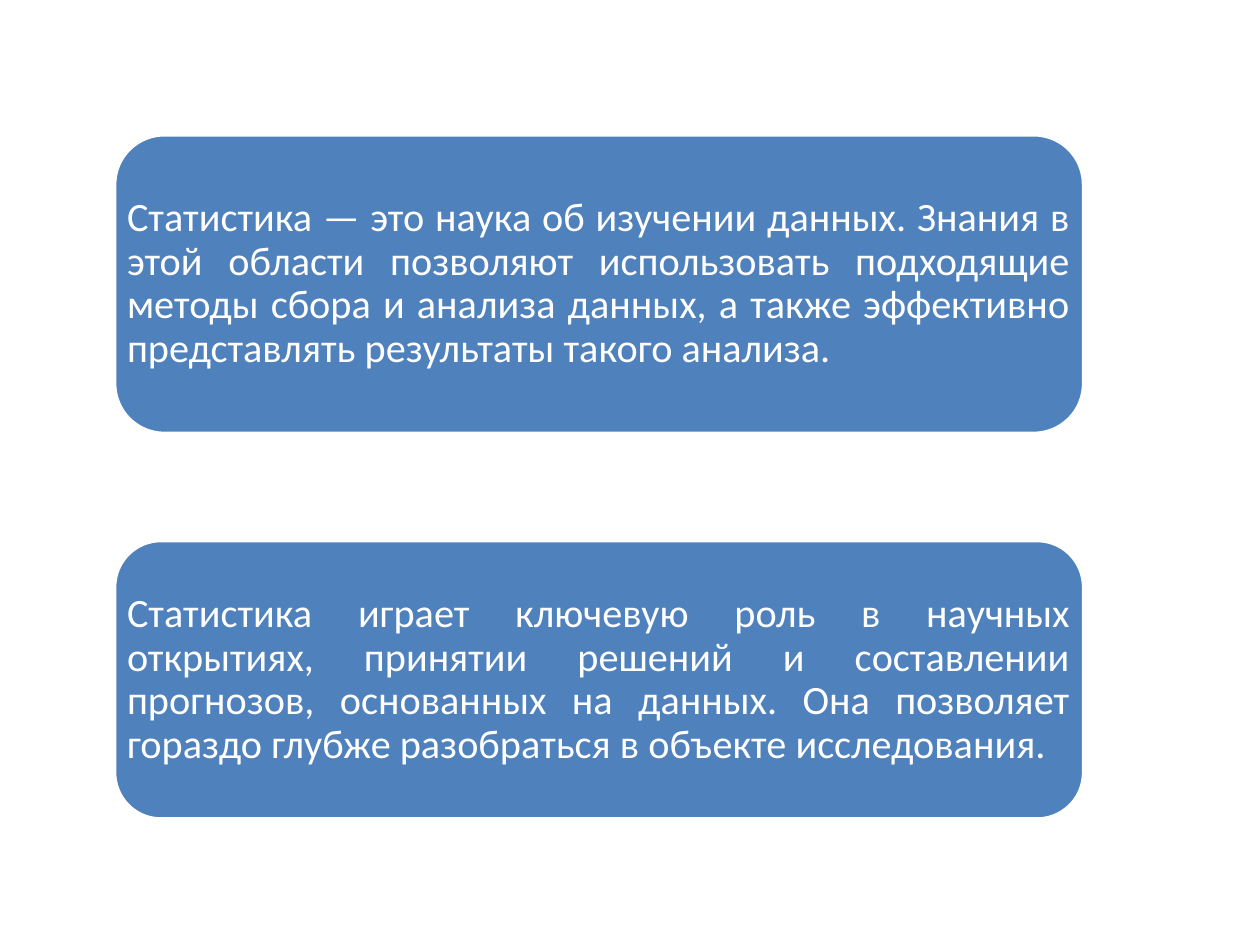
from pptx import Presentation
from pptx import util as u
from pptx.dml.color import RGBColor
from pptx.enum import shapes, text

COLORS = {"panel": "4F81BD", "white": "FFFFFF"}
LEFT, WIDTH = 0.91, 7.69
STATEMENTS = [
    (1.07, 2.37, "Статистика — это наука об изучении данных. Знания в этой области "
     "позволяют использовать подходящие методы сбора и анализа данных, а также "
     "эффективно представлять результаты такого анализа."),
    (4.29, 2.21, "Статистика играет ключевую роль в научных открытиях, принятии решений "
     "и составлении прогнозов, основанных на данных. Она позволяет гораздо глубже "
     "разобраться в объекте исследования."),
]
FRAME_FORMAT = {
    "word_wrap": True,
    "auto_size": text.MSO_AUTO_SIZE.NONE,
    "vertical_anchor": text.MSO_ANCHOR.MIDDLE,
    **{f"margin_{side}": u.Inches(0.1) for side in ("left", "top", "right", "bottom")},
}
PARA_FORMAT = {"alignment": text.PP_ALIGN.JUSTIFY, "line_spacing": 0.9}
FONT_FORMAT = {"name": "Calibri", "size": u.Pt(23)}


def color(name):
    """Return a named colour."""
    return RGBColor.from_string(COLORS[name])


def apply_format(target, values):
    """Set every attribute in values on target."""
    for name, value in values.items():
        setattr(target, name, value)


def add_statement(page, left, top, width, height, wording):
    """Draw a rounded panel with justified text in the given box."""
    box = [u.Inches(length) for length in (left, top, width, height)]
    group = page.shapes.add_group_shape()
    panel = group.shapes.add_shape(shapes.MSO_SHAPE.ROUNDED_RECTANGLE, *box)
    panel.shadow.inherit = False
    panel.fill.solid()
    panel.fill.fore_color.rgb = color("panel")
    panel.line.color.rgb = color("white")
    panel.line.width = u.Pt(2)

    frame = group.shapes.add_textbox(*box).text_frame
    apply_format(frame, FRAME_FORMAT)
    para = frame.paragraphs[0]
    apply_format(para, PARA_FORMAT)
    span = para.add_run()
    span.text = wording
    apply_format(span.font, FONT_FORMAT)
    span.font.color.rgb = color("white")


def main():
    """Build and save the deck."""
    deck = Presentation()
    deck.slide_width, deck.slide_height = u.Inches(10), u.Inches(7.5)
    page = deck.slides.add_slide(deck.slide_layouts[6])
    for top, height, wording in STATEMENTS:
        add_statement(page, LEFT, top, WIDTH, height, wording)
    deck.save("out.pptx")


main()
